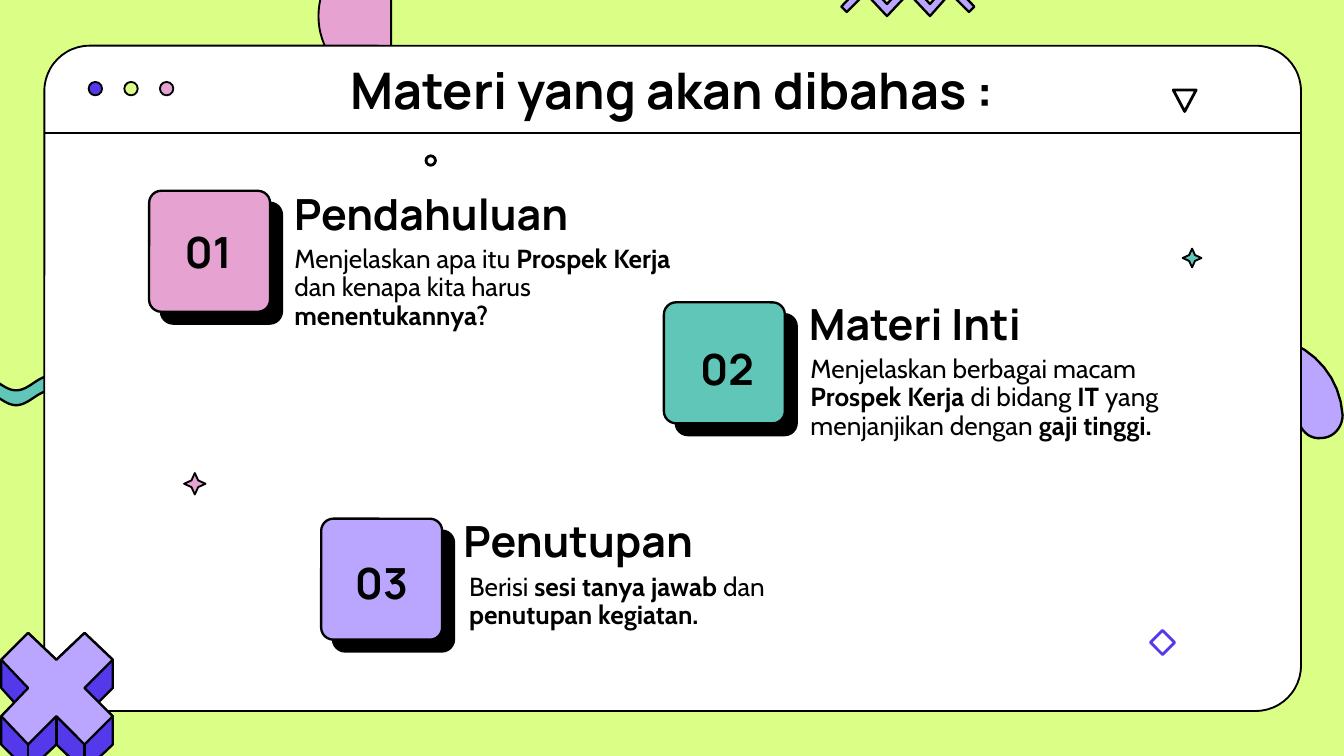
from math import cos, pi, sin

from lxml import etree
from pptx import Presentation
from pptx.dml.color import RGBColor
from pptx.enum.shapes import MSO_CONNECTOR as Link, MSO_SHAPE as Form
from pptx.enum.text import MSO_ANCHOR as Anchor, MSO_AUTO_SIZE as Fit, PP_ALIGN as Align
from pptx.oxml.ns import qn
from pptx.util import Inches, Pt

BLACK, WHITE, LIME = "000000", "FFFFFF", "DBFE87"
PINK, TEAL, LILAC, BLUE = "E6A2D0", "60C7B8", "BAA5FF", "5339EA"


def color(code):
    return RGBColor.from_string(code)


def bezier(start, *curves):
    points = [start]
    for b, c, d in curves:
        a = points[-1]
        for step in range(1, 11):
            t = step / 10
            u = 1 - t
            points.append(tuple(
                u**3 * a[i] + 3 * u * u * t * b[i] + 3 * u * t * t * c[i] + t**3 * d[i]
                for i in (0, 1)))
    return points


class Deck:
    head, body = "Manrope", "Cabin"

    def __init__(self, slide):
        self.slide = slide
        self.shapes = slide.shapes

    def paint(self, item, fill, line, width):
        item.shadow.inherit = False
        if fill:
            item.fill.solid()
            item.fill.fore_color.rgb = color(fill)
        else:
            item.fill.background()
        item.line.color.rgb = color(line)
        item.line.width = Pt(width)
        return item

    def shape(self, form, x, y, w, h, fill=None, line=BLACK, width=1, adjust=None):
        item = self.shapes.add_shape(form, Inches(x), Inches(y), Inches(w), Inches(h))
        if adjust is not None:
            item.adjustments[0] = adjust
        return self.paint(item, fill, line, width)

    def outline(self, points, fill, width=1.25):
        spots = [(Inches(x), Inches(y)) for x, y in points]
        pen = self.shapes.build_freeform(*spots[0])
        pen.add_line_segments(spots[1:], close=True)
        return self.paint(pen.convert_to_shape(), fill, BLACK, width)

    def line(self, x, y, end_x, end_y, width=1):
        item = self.shapes.add_connector(
            Link.STRAIGHT, Inches(x), Inches(y), Inches(end_x), Inches(end_y))
        item.line.color.rgb = color(BLACK)
        item.line.width = Pt(width)
        etree.SubElement(item.element.spPr, qn("a:effectLst"))

    def tile(self, x, y, fill):
        item = self.shape(Form.ROUNDED_RECTANGLE, x, y, 0.9, 0.9, fill, width=1.25, adjust=0.1)
        effects = item.element.spPr.find(qn("a:effectLst"))
        shade = etree.SubElement(effects, qn("a:outerShdw"), dist=str(Pt(9)),
                                 dir=str(45 * 60000), algn="bl", rotWithShape="0")
        etree.SubElement(shade, qn("a:srgbClr"), val=BLACK)

    def text(self, words, x, y, w, h, size, font=head, bold=True,
             center=False, before=7.5, holder=None):
        box = Inches(x), Inches(y), Inches(w), Inches(h)
        if holder is None:
            holder = self.shapes.add_textbox(*box)
        else:
            holder.left, holder.top, holder.width, holder.height = box
            holder.element.getparent().append(holder.element)
        frame = holder.text_frame
        frame.word_wrap = True
        frame.auto_size = Fit.NONE
        frame.vertical_anchor = Anchor.MIDDLE if center else Anchor.TOP
        para = frame.paragraphs[0]
        first, *rest = words.split("*")
        para.text = first
        for part in rest:
            para.add_run().text = part
        para.alignment = Align.CENTER if center else Align.LEFT
        para.line_spacing = 0.9
        para.space_before = Pt(before)
        props = para._p.get_or_add_pPr()
        props.set("marL", "0")
        props.set("indent", "0")
        etree.SubElement(props, qn("a:buNone"))
        for i, run in enumerate(para.runs):
            run.font.name = font
            run.font.size = Pt(size)
            run.font.bold = bold or i % 2 == 1
            run.font.color.rgb = color(BLACK)


def scenery(deck):
    top = [(x / 100, 2.85 - 0.055 * cos(2 * pi * (x / 100 - 0.38) / 0.52))
           for x in range(-67, 65, 2)]
    deck.outline(top + [(x, y + 0.11) for x, y in reversed(top)], TEAL)
    deck.outline(bezier(
        (9.08, 2.57),
        ((9.16, 2.53), (9.25, 2.51), (9.34, 2.5)),
        ((9.68, 2.49), (9.97, 2.75), (9.99, 3.09)),
        ((9.99, 3.18), (9.92, 3.26), (9.83, 3.26)),
        ((9.74, 3.27), (9.67, 3.2), (9.66, 3.11)),
        ((9.66, 2.95), (9.52, 2.82), (9.36, 2.83)),
        ((9.28, 2.83), (9.21, 2.86), (9.16, 2.92)),
        ((9.1, 2.98), (9.07, 3.06), (9.08, 3.13)),
        ((9.08, 3.22), (9.01, 3.3), (8.92, 3.3)),
        ((8.83, 3.31), (8.76, 3.24), (8.75, 3.15)),
        ((8.74, 2.9), (8.88, 2.68), (9.08, 2.57))), LILAC)
    deck.outline([(2.91 - 0.54 * sin(pi * i / 40), 0.12 - 0.54 * cos(pi * i / 40))
                  for i in range(41)], PINK, 1)
    deck.shape(Form.ROUNDED_RECTANGLE, 0.33, 0.34, 9.35, 4.95, WHITE, adjust=0.068)
    deck.line(0.33, 0.99, 9.67, 0.99)


def trinkets(deck):
    deck.shape(Form.STAR_4_POINT, 1.37, 3.52, 0.16, 0.16, PINK, adjust=0.22)
    deck.shape(Form.STAR_4_POINT, 8.8, 1.85, 0.14, 0.14, TEAL, adjust=0.22)
    deck.shape(Form.FLOWCHART_MERGE, 8.73, 0.67, 0.17, 0.16, width=1.5)
    deck.shape(Form.DIAMOND, 8.56, 4.69, 0.18, 0.18, line=BLUE, width=1.5)
    deck.shape(Form.OVAL, 3.17, 1.16, 0.07, 0.07, width=1.5)
    for i, fill in enumerate((BLUE, LIME, PINK)):
        deck.shape(Form.OVAL, 0.66 + 0.265 * i, 0.61, 0.1, 0.1, fill)
    deck.outline([(6.92, 0.12), (6.76, -0.05), (6.6, 0.12), (6.44, -0.05), (6.3, 0.09),
                  (6.26, 0.05), (6.44, -0.14), (6.6, 0.03), (6.76, -0.14), (6.92, 0.03),
                  (7.07, -0.14), (7.25, 0.05), (7.21, 0.09), (7.07, -0.05)], LILAC)


def cross(deck):
    crown = [(0.01, 4.91), (0.21, 4.71), (0.42, 4.91), (0.63, 4.71), (0.84, 4.91)]
    deck.outline(crown + [(0.84, 5.12), (0.73, 5.23), (0.84, 5.33), (0.84, 5.54),
                          (0.63, 5.74), (0.42, 5.54), (0.21, 5.74), (0.01, 5.54),
                          (0.01, 5.33), (0.11, 5.23), (0.01, 5.12)], BLUE)
    deck.outline(crown + [(0.63, 5.12), (0.84, 5.33), (0.63, 5.54), (0.42, 5.33),
                          (0.21, 5.54), (0.01, 5.33), (0.21, 5.12)], LILAC)
    for x, y in ((0.21, 5.54), (0.42, 5.33), (0.63, 5.54)):
        deck.line(x, y, x, y + 0.21, 1.25)


def main():
    show = Presentation()
    show.slide_width, show.slide_height = Inches(10), Inches(5.625)
    slide = show.slides.add_slide(show.slide_layouts[4])
    slide.background.fill.solid()
    slide.background.fill.fore_color.rgb = color(LIME)
    title, *bodies = slide.placeholders
    spare = bodies.pop()
    spare.element.getparent().remove(spare.element)
    deck = Deck(slide)
    scenery(deck)
    deck.text("Materi yang akan dibahas :", 0.79, 0.49, 8.42, 0.4, 27,
              center=True, before=0, holder=title)
    topics = [
        ("Pendahuluan", PINK, (1.11, 1.42), (1.02, 1.61), (2.09, 1.39), (2.09, 1.78),
         "Menjelaskan apa itu *Prospek Kerja *dan kenapa kita harus *menentukannya?"),
        ("Materi Inti", TEAL, (4.94, 2.25), (4.88, 2.48), (5.92, 2.21), (5.93, 2.6),
         "Menjelaskan berbagai macam *Prospek Kerja *di bidang *IT"
         "* yang menjanjikan dengan *gaji tinggi."),
        ("Penutupan", LILAC, (2.39, 3.86), (2.31, 4.07), (3.35, 3.82), (3.39, 4.22),
         "Berisi *sesi tanya jawab* dan *penutupan kegiatan."),
    ]
    for i, (name, fill, tile, mark, head, note, words) in enumerate(topics):
        deck.tile(*tile, fill)
        deck.text(f"{i + 1:02}", *mark, 1.06, 0.57, 23, center=True)
        deck.text(name, *head, 3.05, 0.64, 23)
        deck.text(words, *note, 3.05, 0.9, 14, deck.body, False, holder=bodies[i])
    trinkets(deck)
    cross(deck)
    show.save("out.pptx")


if __name__ == "__main__":
    main()
